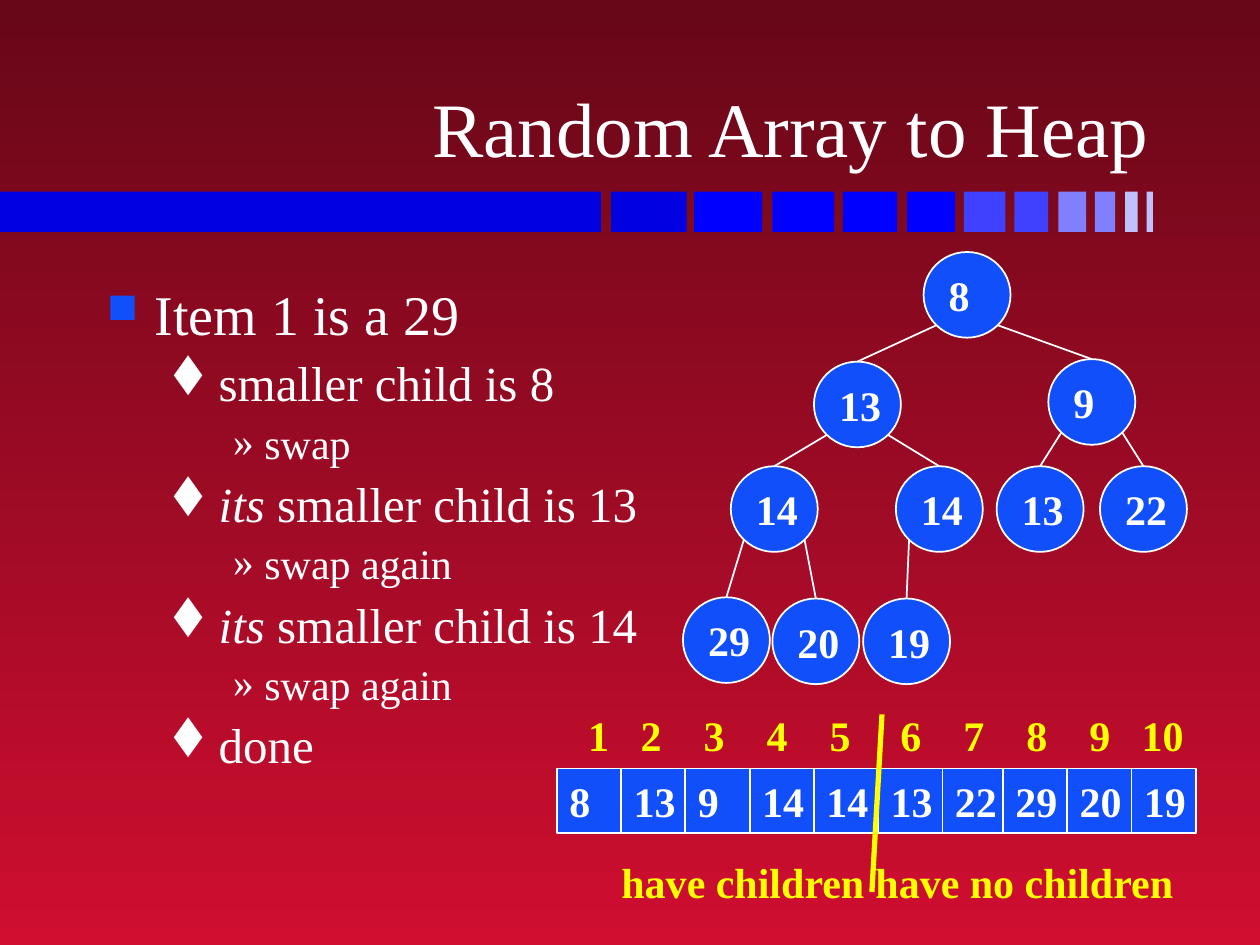
"""Build a slide that shows the last sift-down step of turning an array into a heap."""
import pptx
import pptx.dml.color
import pptx.enum.shapes
import pptx.enum.text
import pptx.oxml
import pptx.oxml.ns
import pptx.util
from pptx.util import Inches

FONT = "Times New Roman"
SYMBOL_FONT = 'typeface="Wingdings" charset="2"'
TEXT_FONT = f'typeface="{FONT}"'
WHITE, BLUE, YELLOW = "FFFFFF", "114FFB", "FFFF00"
SHAPES = pptx.enum.shapes.MSO_SHAPE
ALIGN = pptx.enum.text.PP_ALIGN
ANCHOR = pptx.enum.text.MSO_ANCHOR

BACKGROUND = ["670718", "CF0E30"]
TITLE = "Random Array to Heap"
BARS = [
    (0, 4.77, "0000E0"), (4.85, 0.6, "0000E0"), (5.51, 0.54, "0000FF"),
    (6.13, 0.49, "0000FF"), (6.69, 0.43, "0000FF"), (7.2, 0.38, "0000FF"),
    (7.65, 0.33, "4040FF"), (8.05, 0.27, "4040FF"), (8.4, 0.22, "8080FF"),
    (8.69, 0.16, "8080FF"), (8.93, 0.1, "C0C0FF"), (9.1, 0.05, "C0C0FF"),
]
OUTLINE = [
    (0, [("Item 1 is a 29", False)]),
    (1, [("smaller child is 8", False)]),
    (2, [("swap", False)]),
    (1, [("its", True), (" smaller child is 13", False)]),
    (2, [("swap again", False)]),
    (1, [("its ", True), ("smaller child is 14", False)]),
    (2, [("swap again", False)]),
    (1, [("done", False)]),
]
LEVELS = [
    {"size": 32, "margin": 0.38, "hang": 0.38, "before": 8,
     "bullet": "n", "face": SYMBOL_FONT, "color": BLUE, "percent": 75},
    {"size": 28, "margin": 0.81, "hang": 0.31, "before": 3.5,
     "bullet": "t", "face": SYMBOL_FONT, "color": WHITE, "percent": 100},
    {"size": 24, "margin": 1.25, "hang": 0.25, "before": 3,
     "bullet": "»", "face": TEXT_FONT, "color": WHITE, "percent": 100},
]
HEAP = [8, 13, 9, 14, 14, 13, 22, 29, 20, 19]
NODE_PLACES = [
    (7.33, 2), (6.46, 2.87), (8.32, 2.85), (5.8, 3.7), (7.11, 3.7),
    (7.91, 3.7), (8.73, 3.7), (5.42, 4.74), (6.13, 4.75), (6.85, 4.75),
]
NODE_WIDTH, NODE_HEIGHT, EDGE_OFFSET = 0.69, 0.68, 0.24
CELL_SIZE, CELL_TOP = 0.51, 6.1
CELL_GROUPS = [(4.42, HEAP[:7]), (7.96, HEAP[7:])]
INDEX_TABS = [0.5, 1, 1.5, 2, 2.56, 3.06, 3.56, 4.06, 4.56]
CAPTIONS = [
    ("have children", (4.83, 6.75, 2.13, 0.5), ALIGN.RIGHT),
    ("have no children", (6.85, 6.75, 2.57, 0.5), ALIGN.LEFT),
]


def rgb(value):
    return pptx.dml.color.RGBColor.from_string(value)


def add_xml(parent, markup):
    namespace = pptx.oxml.ns.nsdecls("a")
    parent.append(pptx.oxml.parse_xml(markup.replace(">", f" {namespace}>", 1)))


def set_font(font, color, **values):
    for name, value in {"name": FONT, **values}.items():
        setattr(font, name, value)
    font.color.rgb = rgb(color)


def write(shape, text, color, size=24, bold=True, align=ALIGN.LEFT, anchor=ANCHOR.MIDDLE):
    frame = shape.text_frame
    for name, value in {"word_wrap": False, "vertical_anchor": anchor}.items():
        setattr(frame, name, value)
    paragraph = frame.paragraphs[0]
    paragraph.alignment = align
    run = paragraph.add_run()
    run.text = text
    set_font(run.font, color, size=pptx.util.Pt(size), bold=bold)
    return paragraph


def add_text(slide, box, text, color, **values):
    shape = slide.shapes.add_textbox(*map(Inches, box))
    return write(shape, text, color, anchor=values.pop("anchor", ANCHOR.TOP), **values)


def add_box(slide, kind, box, fill, label=None):
    shape = slide.shapes.add_shape(kind, *map(Inches, box))
    shape.shadow.inherit = False
    shape.fill.solid()
    shape.fill.fore_color.rgb = rgb(fill)
    if label is None:
        shape.line.fill.background()
    else:
        shape.line.color.rgb = rgb(WHITE)
        shape.line.width = pptx.util.Pt(1)
        write(shape, str(label), WHITE)


def add_line(slide, start, end, color, width):
    straight = pptx.enum.shapes.MSO_CONNECTOR.STRAIGHT
    connector = slide.shapes.add_connector(straight, *map(Inches, (*start, *end)))
    connector.line.color.rgb = rgb(color)
    connector.line.width = pptx.util.Pt(width)
    add_xml(connector._element.spPr, "<a:effectLst></a:effectLst>")


def add_outline(slide):
    shape = slide.shapes.add_textbox(Inches(0.75), Inches(2.17), Inches(8.5), Inches(4.5))
    frame = shape.text_frame
    frame.word_wrap = True
    for number, (depth, pieces) in enumerate(OUTLINE):
        level = LEVELS[depth]
        paragraph = frame.add_paragraph() if number else frame.paragraphs[0]
        paragraph.level = depth
        properties = paragraph._p.get_or_add_pPr()
        properties.set("marL", str(Inches(level["margin"])))
        properties.set("indent", str(-Inches(level["hang"])))
        add_xml(properties, f'<a:buClr><a:srgbClr val="{level["color"]}"/></a:buClr>')
        add_xml(properties, f'<a:buSzPct val="{level["percent"] * 1000}"></a:buSzPct>')
        add_xml(properties, f'<a:buFont {level["face"]}></a:buFont>')
        add_xml(properties, f'<a:buChar char="{level["bullet"]}"></a:buChar>')
        if number:
            paragraph.space_before = pptx.util.Pt(level["before"])
        for text, italic in pieces:
            run = paragraph.add_run()
            run.text = text
            set_font(run.font, WHITE, size=pptx.util.Pt(level["size"]), italic=italic)


def add_tree(slide):
    for child in range(1, len(HEAP)):
        parent_left, parent_top = NODE_PLACES[(child - 1) // 2]
        left, top = NODE_PLACES[child]
        side = -EDGE_OFFSET if child % 2 else EDGE_OFFSET
        start = (parent_left + NODE_WIDTH / 2 + side, parent_top + NODE_HEIGHT / 2 + EDGE_OFFSET)
        add_line(slide, start, (left + NODE_WIDTH / 2, top), WHITE, 1)
    for value, place in zip(HEAP, NODE_PLACES):
        add_box(slide, SHAPES.OVAL, (*place, NODE_WIDTH, NODE_HEIGHT), BLUE, value)


def add_array(slide):
    for left, values in CELL_GROUPS:
        for column, value in enumerate(values):
            box = (left + column * CELL_SIZE, CELL_TOP, CELL_SIZE, CELL_SIZE)
            add_box(slide, SHAPES.RECTANGLE, box, BLUE, value)
    indexes = "\t".join(str(number) for number in range(1, len(HEAP) + 1))
    paragraph = add_text(slide, (4.57, 5.58, 4.93, 0.5), indexes, YELLOW)
    stops = "".join(f'<a:tab pos="{Inches(stop)}" algn="ctr"/>' for stop in INDEX_TABS)
    add_xml(paragraph._p.get_or_add_pPr(), f"<a:tabLst>{stops}</a:tabLst>")
    add_line(slide, (6.92, 7.08), (7, 5.67), YELLOW, 3)
    for text, box, align in CAPTIONS:
        add_text(slide, box, text, YELLOW, align=align)


def main():
    presentation = pptx.Presentation()
    presentation.slide_width, presentation.slide_height = Inches(10), Inches(7.5)
    slide = presentation.slides.add_slide(presentation.slide_layouts[6])
    fill = slide.background.fill
    fill.gradient()
    fill.gradient_angle = 270
    for position, (stop, color) in enumerate(zip(fill.gradient_stops, BACKGROUND)):
        stop.position = position
        stop.color.rgb = rgb(color)
    for left, width, color in BARS:
        add_box(slide, SHAPES.RECTANGLE, (left, 1.52, width, 0.32), color)
    add_text(slide, (0.74, 0.19, 8.48, 1.23), TITLE, WHITE, size=44, bold=False,
             align=ALIGN.RIGHT, anchor=ANCHOR.BOTTOM)
    add_outline(slide)
    add_tree(slide)
    add_array(slide)
    presentation.save("out.pptx")


if __name__ == "__main__":
    main()
